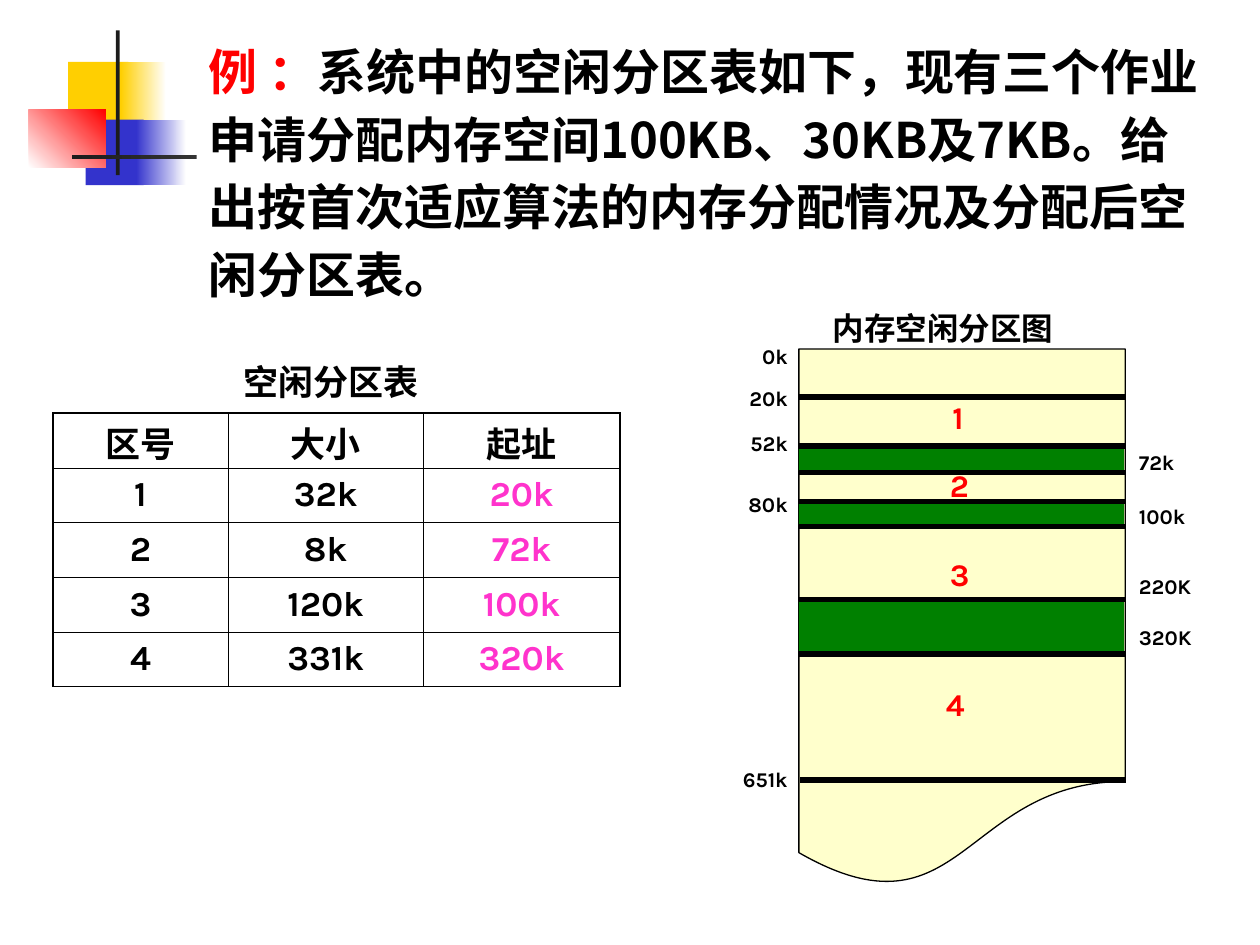
from dataclasses import dataclass

from lxml.etree import SubElement
from pptx import Presentation
from pptx.dml.color import RGBColor
from pptx.enum.shapes import MSO_CONNECTOR as Connector, MSO_SHAPE as Preset
from pptx.enum.text import MSO_ANCHOR as Anchor, PP_ALIGN as Align
from pptx.oxml.ns import qn
from pptx.util import Inches, Pt

COLORS = {
    "black": "000000", "white": "FFFFFF", "red": "FF0000", "yellow": "FFCF01",
    "blue": "3333CC", "charcoal": "1C1C1C", "pink": "FF33CC",
    "memory": "FFFFCC", "used": "008000",
}
LATIN = "Karla"
CJK = "Noto Sans CJK SC"
LABEL_LINE = 14


@dataclass
class Box:
    left: float
    top: float
    width: float
    height: float

    def lengths(self) -> list:
        return [Inches(v) for v in (self.left, self.top, self.width, self.height)]


@dataclass
class Block:
    box: Box
    color: str
    fade_to: str = ""
    angle: float = 0
    outline: str = ""
    preset: Preset = Preset.RECTANGLE


@dataclass
class Caption:
    box: Box
    text: str
    size: float = 18
    color: str = "black"
    font: str = LATIN
    align: Align = Align.LEFT
    wrap: bool = True


@dataclass
class AddressScale:
    left: float
    width: float
    align: Align
    marks: dict


def rgb(name: str) -> RGBColor:
    return RGBColor.from_string(COLORS[name])


def style(paragraph, size: float, color: str = "black", font: str = LATIN,
          align: Align = Align.LEFT) -> None:
    paragraph.alignment = align
    paragraph.font.size = Pt(size)
    paragraph.font.name = font
    paragraph.font.bold = True
    paragraph.font.color.rgb = rgb(color)


def draw_block(slide, block: Block):
    shape = slide.shapes.add_shape(block.preset, *block.box.lengths())
    shape.shadow.inherit = False
    if block.fade_to:
        shape.fill.gradient()
        shape.fill.gradient_angle = block.angle
        for stop, name in zip(shape.fill.gradient_stops, (block.color, block.fade_to)):
            stop.color.rgb = rgb(name)
    else:
        shape.fill.solid()
        shape.fill.fore_color.rgb = rgb(block.color)
    if block.outline:
        shape.line.color.rgb = rgb(block.outline)
        shape.line.width = Pt(0.75)
    else:
        shape.line.fill.background()
    return shape


def draw_caption(slide, caption: Caption) -> None:
    frame = slide.shapes.add_textbox(*caption.box.lengths()).text_frame
    frame.word_wrap = caption.wrap
    frame.text = caption.text
    style(frame.paragraphs[0], caption.size, caption.color, caption.font, caption.align)


def draw_boundary(slide, left: float, y: float) -> None:
    line = slide.shapes.add_connector(
        Connector.STRAIGHT, Inches(left), Inches(y), Inches(left + 2.59), Inches(y))
    line.line.color.rgb = rgb("black")
    line.line.width = Pt(3)
    SubElement(line.element.spPr, qn("a:effectLst"))


def draw_scale(slide, scale: AddressScale) -> None:
    centers = list(scale.marks.values())
    box = Box(scale.left, centers[0] - 0.15, scale.width, centers[-1] - centers[0] + 0.3)
    frame = slide.shapes.add_textbox(*box.lengths()).text_frame
    frame.word_wrap = True
    frame.text = "\n".join(scale.marks)
    for paragraph in frame.paragraphs:
        style(paragraph, 12, align=scale.align)
        paragraph.line_spacing = Pt(LABEL_LINE)
    for paragraph, above, center in zip(frame.paragraphs[1:], centers, centers[1:]):
        paragraph.space_before = Pt(round((center - above) * 72 - LABEL_LINE, 1))


def set_borders(cell, outer: dict) -> None:
    properties = cell._tc.get_or_add_tcPr()
    for position, (side, is_outer) in enumerate(outer.items()):
        border = SubElement(properties, qn(f"a:{side}"), w=str(Pt(1.08 if is_outer else 0.45)))
        fill = SubElement(border, qn("a:solidFill"))
        SubElement(fill, qn("a:srgbClr"), val=COLORS["black"])
        properties.remove(border)
        properties.insert(position, border)


def draw_free_table(slide, rows: list) -> None:
    widths = (1.39, 1.55, 1.56)
    box = Box(0.42, 3.28, sum(widths), 2.17)
    table = slide.shapes.add_table(len(rows), len(widths), *box.lengths()).table
    table.first_row = table.horz_banding = False
    for column, width in zip(table.columns, widths):
        column.width = Inches(width)
    last_row, last_column = len(rows) - 1, len(widths) - 1
    for r, values in enumerate(rows):
        for c, value in enumerate(values):
            cell = table.cell(r, c)
            cell.fill.background()
            cell.margin_top = cell.margin_bottom = 0
            cell.vertical_anchor = Anchor.MIDDLE if r else Anchor.BOTTOM
            cell.text = value
            style(cell.text_frame.paragraphs[0], 20,
                  "pink" if r and c == last_column else "black", align=Align.CENTER)
            set_borders(cell, {"lnL": c == 0, "lnR": c == last_column,
                               "lnT": r == 0, "lnB": r == last_row})


def draw_question(slide) -> None:
    question = draw_block(slide, Block(Box(1.56, 0.21, 8.08, 2.25), "white"))
    frame = question.text_frame
    frame.word_wrap = True
    frame.vertical_anchor = Anchor.TOP
    paragraph = frame.paragraphs[0]
    style(paragraph, 28, font=CJK)
    paragraph.line_spacing = 1.15
    for text, color in (
        ("例 ：", "red"),
        ("系统中的空闲分区表如下，现有三个作业申请分配内存空间100KB、30KB及7KB。"
         "给出按首次适应算法的内存分配情况及分配后空闲分区表。", "black"),
    ):
        run = paragraph.add_run()
        run.text = text
        run.font.color.rgb = rgb(color)


def main() -> None:
    deck = Presentation()
    deck.slide_width, deck.slide_height = Inches(10), Inches(7.5)
    slide = deck.slides.add_slide(deck.slide_layouts[6])

    for ornament in (
        Block(Box(0.54, 0.49, 0.48, 0.52), "yellow"),
        Block(Box(0.96, 0.49, 0.36, 0.52), "yellow", "white"),
        Block(Box(0.68, 0.95, 0.46, 0.52), "blue"),
        Block(Box(1.08, 0.95, 0.4, 0.52), "blue", "white"),
        Block(Box(0.23, 0.87, 0.61, 0.46), "white", "red", 45),
        Block(Box(0.92, 0.24, 0.03, 1.15), "charcoal"),
        Block(Box(0.57, 1.23, 9, 0.03), "charcoal", "white"),
    ):
        draw_block(slide, ornament)

    draw_free_table(slide, [
        ("区号", "大小", "起址"), ("1", "32k", "20k"), ("2", "8k", "72k"),
        ("3", "120k", "100k"), ("4", "331k", "320k"),
    ])
    draw_caption(slide, Caption(Box(1.09, 2.81, 3.08, 0.44), "空闲分区表", 20,
                                align=Align.CENTER))
    draw_question(slide)

    draw_block(slide, Block(Box(6.34, 2.77, 2.59, 4.28), "memory", outline="black",
                            preset=Preset.FLOWCHART_DOCUMENT))
    for top, height in ((3.56, 0.18), (4, 0.17), (4.77, 0.4)):
        draw_block(slide, Block(Box(6.34, top, 2.58, height), "used"))
    for y in (3.15, 3.54, 3.75, 3.98, 4.18, 4.76, 5.19):
        draw_boundary(slide, 6.34, y)
    draw_boundary(slide, 6.35, 6.19)

    draw_caption(slide, Caption(Box(6.51, 2.4, 2.22, 0.4), "内存空闲分区图",
                                font="Times New Roman"))
    draw_scale(slide, AddressScale(5.27, 1.08, Align.RIGHT, {
        "0k": 2.83, "20k": 3.17, "52k": 3.52, "80k": 4.01, "651k": 6.19}))
    draw_scale(slide, AddressScale(8.94, 0.79, Align.LEFT, {
        "72k": 3.67, "100k": 4.1, "220K": 4.66, "320K": 5.06}))
    for number, left, top in (("1", 7.46, 3.11), ("2", 7.44, 3.65),
                              ("3", 7.44, 4.36), ("4", 7.41, 5.39)):
        draw_caption(slide, Caption(Box(left, top, 0.34, 0.4), number, color="red", wrap=False))

    deck.save("out.pptx")


if __name__ == "__main__":
    main()
